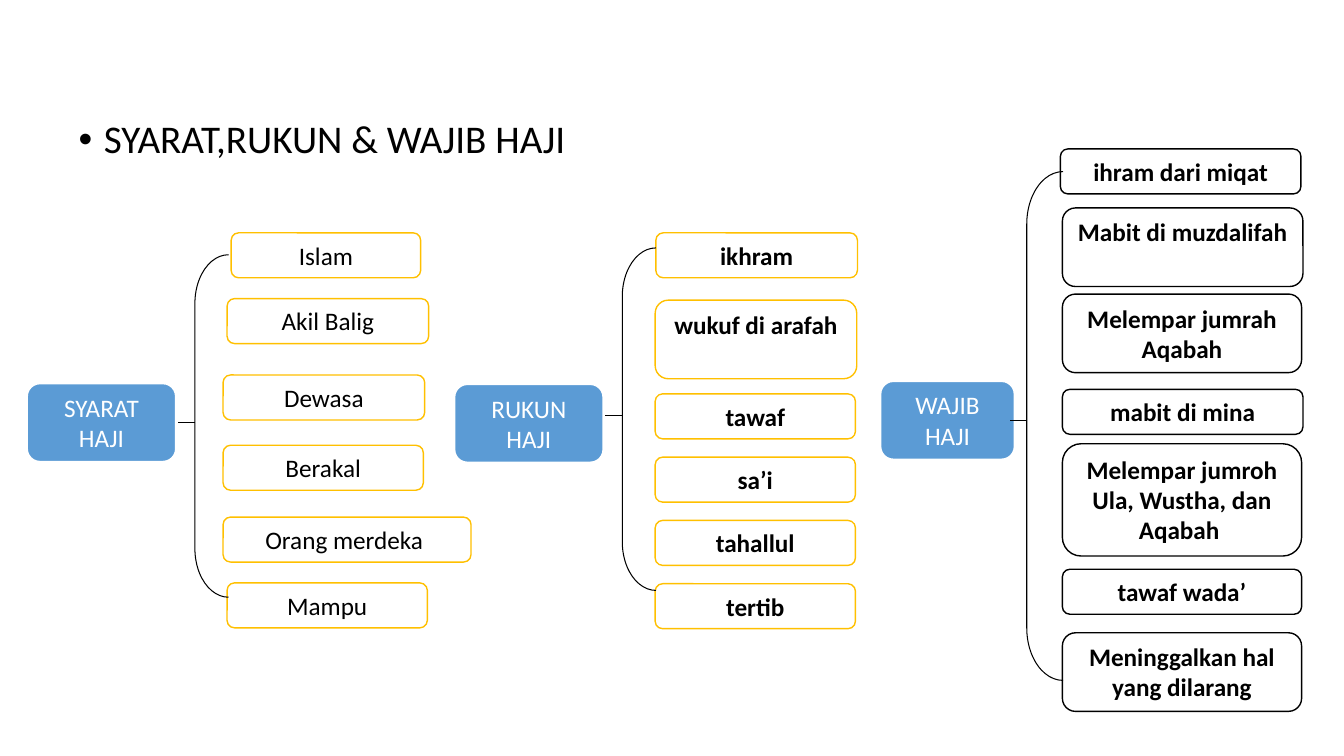
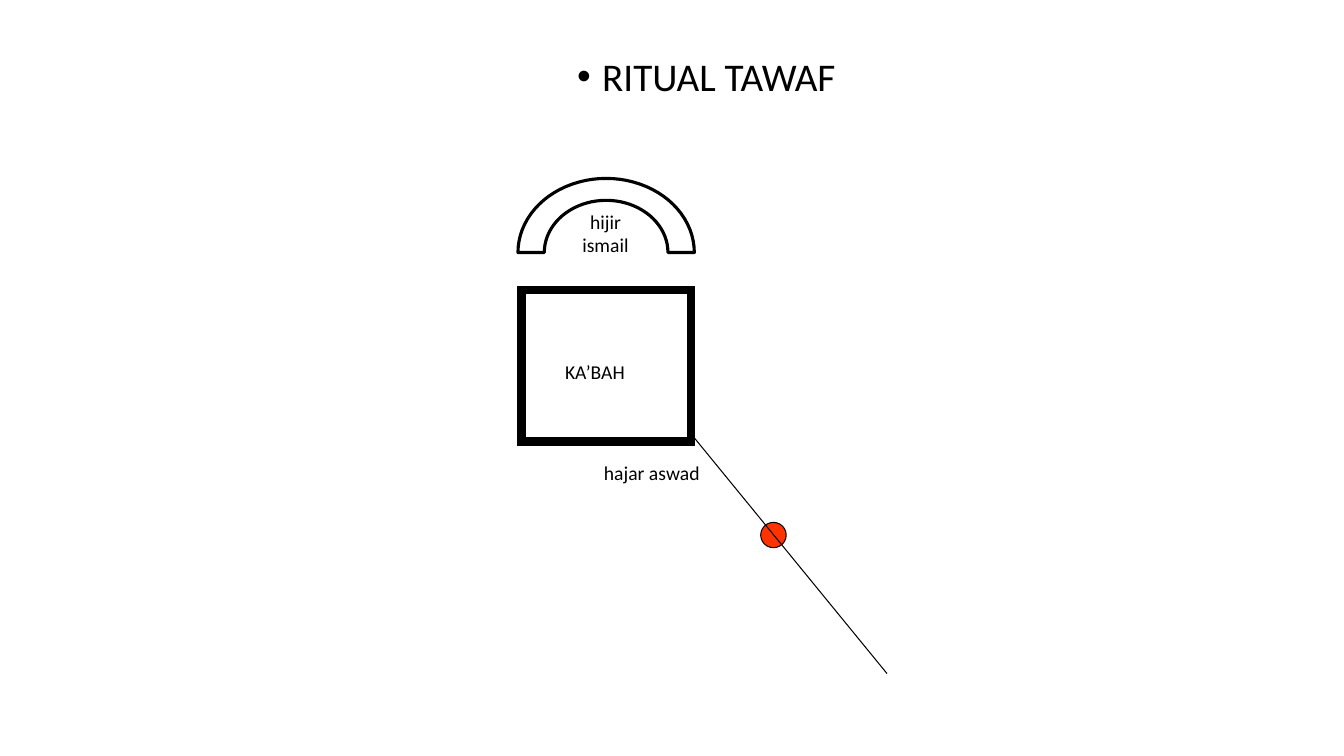
from math import cos, pi, sin

from pptx import Presentation
from pptx.dml.color import RGBColor
from pptx.enum.shapes import MSO_CONNECTOR as Connector, MSO_SHAPE as Preset
from pptx.enum.text import MSO_ANCHOR as Anchor, MSO_AUTO_SIZE as AutoSize, PP_ALIGN as Align
from pptx.oxml.ns import qn
from pptx.oxml.xmlchemy import OxmlElement
from pptx.util import Inches, Pt

BLACK = RGBColor(0x00, 0x00, 0x00)
WHITE = RGBColor(0xFF, 0xFF, 0xFF)
BLUE = RGBColor(0x5B, 0x9B, 0xD5)
GOLD = RGBColor(0xFF, 0xC0, 0x00)
RED = RGBColor(0xFF, 0x33, 0x00)
FONT = "Calibri"

# The slide is a grid of 100 columns by 100 rows
WIDTH, HEIGHT = Inches(13.333), Inches(7.5)
COLUMN, ROW = WIDTH / 100, HEIGHT / 100
HEAD_HEIGHT = 10.4
STEM_LENGTH = 1.28
STEM_SHARE = 0.49

# Each group: head (text, left, top, width), bracket (left, top, width, height),
# and items (text, left, top, width, lines of room)
CONDITIONS = {
    "head": ("SYARAT HAJI", 2, 50.7, 11.1),
    "bracket": (14.5, 33.7, 2.5, 45.3),
    "items": [
        ("Islam", 17.2, 30.8, 14.1, 1),
        ("Akil Balig", 16.9, 39.5, 15, 1),
        ("Dewasa", 16.6, 49.6, 15, 1),
        ("Berakal", 16.6, 58.9, 14.9, 1),
        ("Orang merdeka ", 16.6, 68.4, 18.45, 1),
        ("Mampu", 16.9, 77.1, 14.9, 1),
    ],
    "style": {"border": GOLD},
}
PILLARS = {
    "head": ("RUKUN HAJI", 33.8, 50.8, 11.1),
    "bracket": (46.3, 32.8, 2.5, 45.3),
    "items": [
        ("ikhram", 48.8, 30.8, 15, 1),
        ("wukuf di arafah", 48.75, 39.7, 15, 2),
    ] + [
        (text, 48.75, 52.1 + 8.37 * index, 14.9, 1)
        for index, text in enumerate(("tawaf", "sa’i", "tahallul", "tertib"))
    ],
    "style": {"border": GOLD, "bold": True},
}
DUTIES = {
    "head": ("WAJIB HAJI", 65.5, 50.4, 10),
    "bracket": (76.4, 22.7, 2.7, 67.3),
    "items": [
        ("ihram dari miqat", 78.9, 19.7, 17.9, 1),
        ("Mabit di muzdalifah", 79.05, 27.5, 17.9, 2),
        ("Melempar jumrah Aqabah", 79.05, 38.9, 17.8, 2),
        ("mabit di mina", 79.05, 51.5, 17.9, 1),
        ("Melempar jumroh Ula, Wustha, dan Aqabah ", 79.05, 58.7, 17.8, 3),
        ("tawaf wada’", 79.05, 75.3, 17.8, 1),
        ("Meninggalkan hal yang dilarang", 79.05, 83.7, 17.8, 2),
    ],
    "style": {"border": BLACK, "bold": True, "side_inset": 0},
}


def grid(left, top, width, height):
    """Turn columns and rows into slide lengths."""
    return [round(value * unit) for value, unit in
            zip((left, top, width, height), (COLUMN, ROW, COLUMN, ROW))]


def set_values(target, values):
    for name, value in values.items():
        setattr(target, name, value)


def write(frame, text, size, color=BLACK, bold=False, align=Align.CENTER):
    set_values(frame, {"word_wrap": True, "auto_size": AutoSize.NONE,
                       "vertical_anchor": Anchor.TOP})
    para = frame.paragraphs[0]
    para.alignment = align
    span = para.add_run()
    span.text = text
    set_values(span.font, {"name": FONT, "size": Pt(size), "bold": bold})
    span.font.color.rgb = color
    return para


def paint(shape, fill, border, weight):
    shape.shadow.inherit = False
    if fill is None:
        shape.fill.background()
    else:
        shape.fill.solid()
        shape.fill.fore_color.rgb = fill
    shape.line.color.rgb = border
    shape.line.width = Pt(weight)


def add_preset(page, preset, place, fill, border, weight):
    shape = page.shapes.add_shape(preset, *grid(*place))
    paint(shape, fill, border, weight)
    return shape


def add_box(page, text, place, fill=WHITE, border=BLACK, weight=1,
            color=BLACK, bold=False, side_inset=0.1):
    box = add_preset(page, Preset.ROUNDED_RECTANGLE, place, fill, border, weight)
    frame = box.text_frame
    set_values(frame, {"margin_left": Inches(side_inset), "margin_right": Inches(side_inset)})
    write(frame, text, 18, color, bold)


def add_line(page, left, top, right, bottom):
    line = page.shapes.add_connector(Connector.STRAIGHT, *grid(left, top, right, bottom))
    line.line.color.rgb = BLACK
    line.line.width = Pt(0.75)
    line._element.spPr.append(OxmlElement("a:effectLst"))


def add_label(page, text, place, align=Align.LEFT):
    label = page.shapes.add_textbox(*grid(*place))
    write(label.text_frame, text, 14, align=align)


def add_arch(page, center, outer, inner):
    """Draw a half ring from its outer and inner radii."""
    steps = 40

    def arc(radius, turns):
        return [(round((center[0] - radius[0] * cos(pi * turn / steps)) * COLUMN),
                 round((center[1] - radius[1] * sin(pi * turn / steps)) * ROW))
                for turn in turns]

    points = arc(outer, range(steps + 1)) + arc(inner, range(steps, -1, -1))
    builder = page.shapes.build_freeform(*points[0])
    builder.add_line_segments(points[1:], close=True)
    paint(builder.convert_to_shape(), WHITE, BLACK, 2.25)


def add_page(deck, heading, top, height, align):
    """Add a slide whose body placeholder holds one bulleted heading."""
    page = deck.slides.add_slide(deck.slide_layouts[1])
    title = page.shapes.title._element
    title.getparent().remove(title)
    body = page.placeholders[1]
    set_values(body, dict(zip(("left", "top", "width", "height"),
                              grid(5.1, top, 94.9, height))))
    para = write(body.text_frame, heading, 28, align=align)
    set_values(para, {"line_spacing": 0.9, "space_before": Pt(10)})
    # Bullet and hanging indent
    properties = para._p.get_or_add_pPr()
    properties.set("marL", str(Inches(0.25)))
    properties.set("indent", str(-Inches(0.25)))
    bullet = OxmlElement("a:buChar")
    bullet.set("char", "•")
    properties.append(bullet)
    return page


def add_group(page, head, bracket, items, style):
    text, *place = head
    add_box(page, text, (*place, HEAD_HEIGHT), fill=BLUE, border=WHITE, weight=1.5, color=WHITE)
    for text, left, top, width, lines in items:
        add_box(page, text, (left, top, width, 1.5 + 4.45 * lines), **style)
    # Bracket and the stem that joins it to the head
    brace = add_preset(page, Preset.LEFT_BRACKET, bracket, None, BLACK, 0.75)
    brace.adjustments[0] = 1.45
    left, top, _, height = bracket
    middle = top + STEM_SHARE * height
    add_line(page, left, middle, left - STEM_LENGTH, middle)


def build_requirements(deck):
    page = add_page(deck, "SYARAT,RUKUN & WAJIB HAJI", 15.2, 12.3, Align.LEFT)
    for group in (CONDITIONS, PILLARS, DUTIES):
        add_group(page, **group)


def build_tawaf(deck):
    page = add_page(deck, "RITUAL TAWAF", 6.9, 9.5, Align.CENTER)
    # Kaaba with square corners
    kaaba = add_preset(page, Preset.RECTANGLE, (38.8, 38.4, 12.6, 20), WHITE, BLACK, 6)
    miter = OxmlElement("a:miter")
    miter.set("lim", "800000")
    kaaba._element.spPr.find(qn("a:ln")).append(miter)
    # Starting point and surroundings
    add_preset(page, Preset.OVAL, (56.6, 69.1, 1.9, 3.35), RED, BLACK, 0.75)
    add_label(page, "hajar aswad", (44.2, 60.3, 13.1, 4.4))
    add_arch(page, center=(45.1, 33.4), outer=(6.56, 9.8), inner=(4.6, 6.9))
    add_label(page, "KA’BAH", (41.3, 46.9, 8.1, 4.4))
    add_label(page, "hijir ismail", (41.6, 27.1, 6.9, 7.6), Align.CENTER)
    add_line(page, 51.7, 58, 66, 89.1)


def main():
    deck = Presentation()
    set_values(deck, {"slide_width": WIDTH, "slide_height": HEIGHT})
    build_requirements(deck)
    build_tawaf(deck)
    deck.save("out.pptx")


if __name__ == "__main__":
    main()
